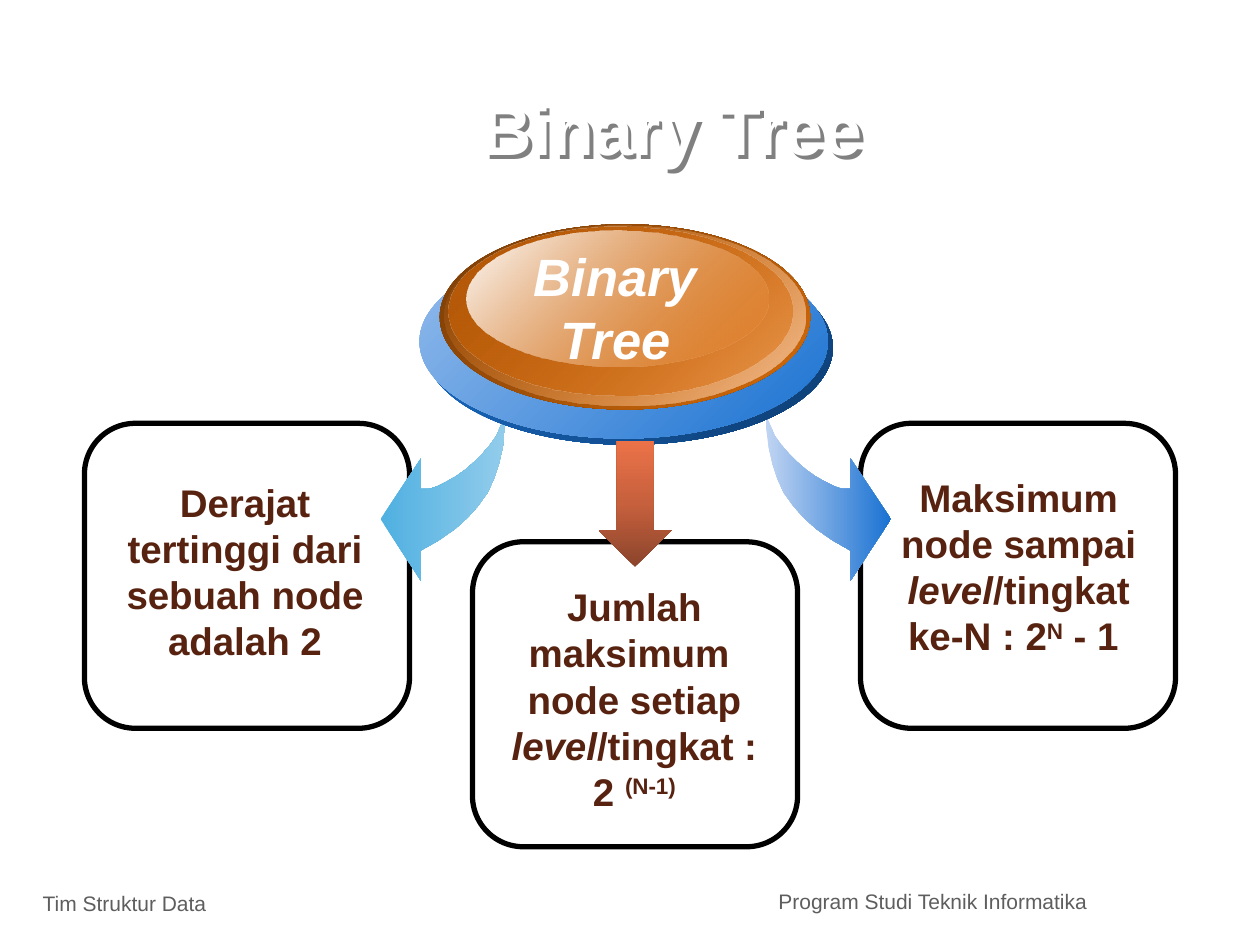
from pptx import Presentation
from pptx.dml.color import RGBColor
from pptx.enum.shapes import MSO_SHAPE
from pptx.enum.text import MSO_ANCHOR, MSO_AUTO_SIZE, PP_ALIGN
from pptx.oxml import parse_xml
from pptx.oxml.ns import nsdecls, qn
from pptx.util import Inches, Pt

WHITE = RGBColor(0xFF, 0xFF, 0xFF)
BLACK = RGBColor(0x00, 0x00, 0x00)
BROWN = RGBColor(0x57, 0x22, 0x0F)
GREY = RGBColor(0x5E, 0x5E, 0x5E)
SHADOW = RGBColor(0x80, 0x80, 0x80)
SKY = RGBColor(0x4F, 0xB0, 0xE1)
PALE_SKY = RGBColor(0x92, 0xCC, 0xEB)
BLUE = RGBColor(0x1A, 0x72, 0xD2)
NAVY = RGBColor(0x0D, 0x3C, 0x70)
MIST = RGBColor(0xC0, 0xD4, 0xF2)
HAZE = RGBColor(0x94, 0xBC, 0xEC)
ORANGE = RGBColor(0xE0, 0x76, 0x18)
AMBER = RGBColor(0xB4, 0x58, 0x06)
RUST = RGBColor(0x78, 0x3C, 0x06)
DEEP_ORANGE = RGBColor(0xD4, 0x6A, 0x0A)
PEACH = RGBColor(0xF2, 0xC0, 0x94)
CORAL = RGBColor(0xEB, 0x72, 0x48)
CLAY = RGBColor(0xC6, 0x60, 0x3D)
BRICK = RGBColor(0x8B, 0x44, 0x2B)

CURVED_ARROW = [
    (4.01, 3.25), (4.01, 3.4), (3.99, 3.55), (3.96, 3.68), (3.92, 3.8),
    (3.87, 3.91), (3.79, 4.02), (3.71, 4.11), (3.61, 4.2), (3.48, 4.29),
    (3.34, 4.37), (3.34, 4.61), (3.02, 4.12), (3.34, 3.64), (3.34, 3.88),
    (3.41, 3.88), (3.47, 3.86), (3.55, 3.82), (3.62, 3.78), (3.69, 3.73),
    (3.76, 3.67), (3.83, 3.6), (3.89, 3.53), (3.94, 3.46), (3.97, 3.39),
    (4, 3.32),
]
MIRROR_SUM = 10.09

# left, top, width, height, then (colour, opacity) at start and end
ELLIPSES = [
    (3.37, 1.99, 3.24, 1.54, (BLUE, 100), (NAVY, 100)),
    (3.33, 1.94, 3.24, 1.54, (HAZE, 100), (BLUE, 100)),
    (3.49, 1.78, 2.94, 1.47, (RUST, 100), (DEEP_ORANGE, 100)),
    (3.53, 1.79, 2.86, 1.43, (ORANGE, 0), (PEACH, 100)),
    (3.56, 1.8, 2.73, 1.34, (AMBER, 100), (ORANGE, 48)),
    (3.7, 1.83, 2.4, 1.08, (WHITE, 100), (ORANGE, 38)),
]


def add_run(p, text, size=22, color=BROWN, bold=True, italic=False,
            superscript=False):
    r = p.add_run()
    r.text = text
    font = r.font
    font.name, font.size, font.bold, font.italic = "Arial", Pt(size), bold, italic
    font.color.rgb = color
    if superscript:
        r._r.get_or_add_rPr().set("baseline", "30000")


def add_shadow(box):
    """Cast a crisp shadow from the text of an unfilled box."""
    box.fill.background()
    box._element.spPr.append(parse_xml(
        f'<a:effectLst {nsdecls("a")}>'
        '<a:outerShdw dist="38100" dir="2700000" algn="ctr" rotWithShape="0">'
        f'<a:srgbClr val="{SHADOW}"/></a:outerShdw></a:effectLst>'))


def set_gradient(sp, stops, angle):
    """Fill with evenly spaced (colour, opacity) stops; angle runs clockwise."""
    last = len(stops) - 1
    marks = "".join(
        f'<a:gs pos="{i * 100000 // last}"><a:srgbClr val="{color}">'
        f'<a:alpha val="{opacity * 1000}"/></a:srgbClr></a:gs>'
        for i, (color, opacity) in enumerate(stops))
    sp.fill.background()
    spPr = sp._element.spPr
    spPr.replace(spPr.find(qn("a:noFill")), parse_xml(
        f'<a:gradFill {nsdecls("a")} rotWithShape="1"><a:gsLst>{marks}</a:gsLst>'
        f'<a:lin ang="{angle * 60000}" scaled="0"/></a:gradFill>'))
    sp.line.fill.background()
    sp.shadow.inherit = False


class SlideBuilder:
    def __init__(self, s):
        self.s = s

    def text(self, left, top, width, height, *paragraphs, align=PP_ALIGN.CENTER,
             anchor=MSO_ANCHOR.TOP, wrap=True, **style):
        """Each paragraph is a list of (text, extra format) runs."""
        box = self.s.shapes.add_textbox(
            Inches(left), Inches(top), Inches(width), Inches(height))
        tf = box.text_frame
        tf.word_wrap = wrap
        tf.auto_size = MSO_AUTO_SIZE.NONE
        tf.vertical_anchor = anchor
        for i, runs in enumerate(paragraphs):
            p = tf.paragraphs[0] if i == 0 else tf.add_paragraph()
            p.alignment = align
            for text, extra in runs:
                add_run(p, text, **{**style, **extra})
        return box

    def shape(self, kind, left, top, width, height):
        return self.s.shapes.add_shape(
            kind, Inches(left), Inches(top), Inches(width), Inches(height))

    def card(self, left, top, width):
        sp = self.shape(MSO_SHAPE.ROUNDED_RECTANGLE, left, top, width, 2.42)
        sp.fill.background()
        sp.line.color.rgb = BLACK
        sp.line.width = Pt(3)
        sp.shadow.inherit = False

    def curved_arrow(self, points, start, end):
        corners = [(Inches(x), Inches(y)) for x, y in points]
        builder = self.s.shapes.build_freeform(*corners[0])
        builder.add_line_segments(corners[1:], close=True)
        set_gradient(builder.convert_to_shape(), [(start, 100), (end, 100)], 0)

    def button(self):
        layers = []
        for left, top, width, height, start, end in ELLIPSES:
            sp = self.shape(MSO_SHAPE.OVAL, left, top, width, height)
            set_gradient(sp, [start, end], 45)
            layers.append(sp)
        self.s.shapes.add_group_shape(layers)

    def down_arrow(self, left, top, width, height):
        sp = self.shape(MSO_SHAPE.DOWN_ARROW, left, top, width, height)
        set_gradient(sp, [(BRICK, 100), (CLAY, 100), (CORAL, 100)], 270)


def main():
    prs = Presentation()
    prs.slide_width, prs.slide_height = Inches(10), Inches(7.5)
    slide = SlideBuilder(prs.slides.add_slide(prs.slide_layouts[6]))
    italic, raised = {"italic": True}, {"superscript": True}

    title = slide.text(2.25, 0.75, 6.17, 0.53, [("Binary Tree", {})],
                       anchor=MSO_ANCHOR.MIDDLE, size=40, color=WHITE)
    add_shadow(title)
    slide.card(6.83, 3.36, 2.5)
    slide.card(0.67, 3.36, 2.58)
    slide.curved_arrow(CURVED_ARROW, SKY, PALE_SKY)
    slide.curved_arrow([(MIRROR_SUM - x, y) for x, y in CURVED_ARROW], MIST, BLUE)
    slide.button()
    slide.text(4.13, 1.89, 1.51, 1.11, [("Binary", {})], [("Tree", {})],
               wrap=False, size=30, color=WHITE, italic=True)
    slide.text(0.83, 3.75, 2.23, 1.58,
               [("Derajat tertinggi dari sebuah node adalah 2", {})])

    footer = {"align": PP_ALIGN.LEFT, "size": 12, "color": GREY, "bold": False}
    slide.text(0.24, 7.02, 3.01, 0.35, [("Tim Struktur Data", {})], **footer)
    slide.text(6.08, 7, 3.67, 0.5,
               [("Program Studi Teknik Informatika", {})], **footer)

    slide.text(6.97, 3.71, 2.23, 1.58,
               [("Maksimum node sampai ", {}), ("level", italic),
                ("/tingkat ke-N : 2", {}), ("N", raised), (" - 1 ", {})])
    slide.card(3.75, 4.3, 2.58)
    slide.down_arrow(4.75, 3.5, 0.58, 1)
    slide.text(3.92, 4.58, 2.23, 1.95,
               [("Jumlah maksimum  node setiap ", {}), ("level", italic),
                ("/tingkat : 2 ", {}), ("(N-1)", raised)])
    prs.save("out.pptx")


if __name__ == "__main__":
    main()
